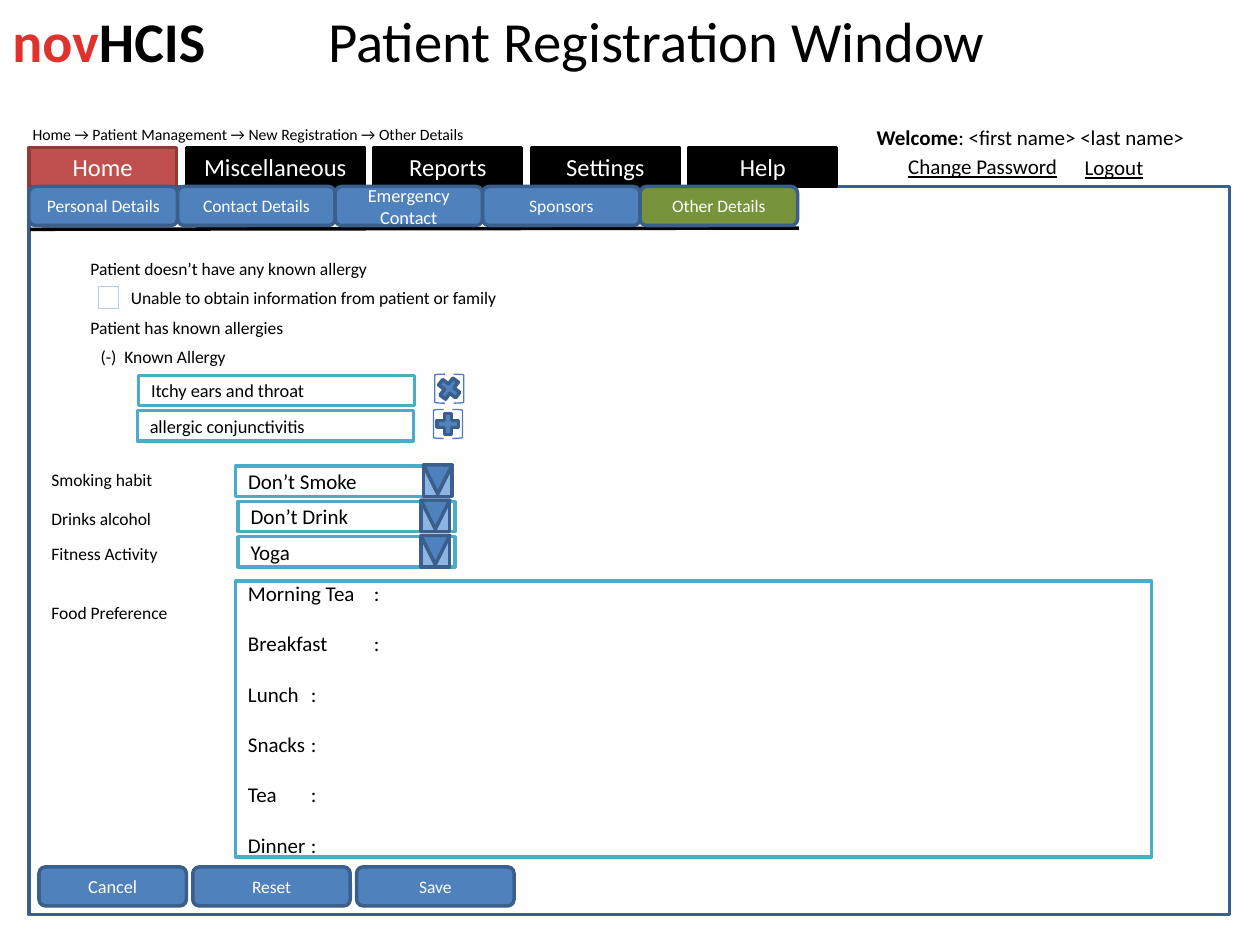
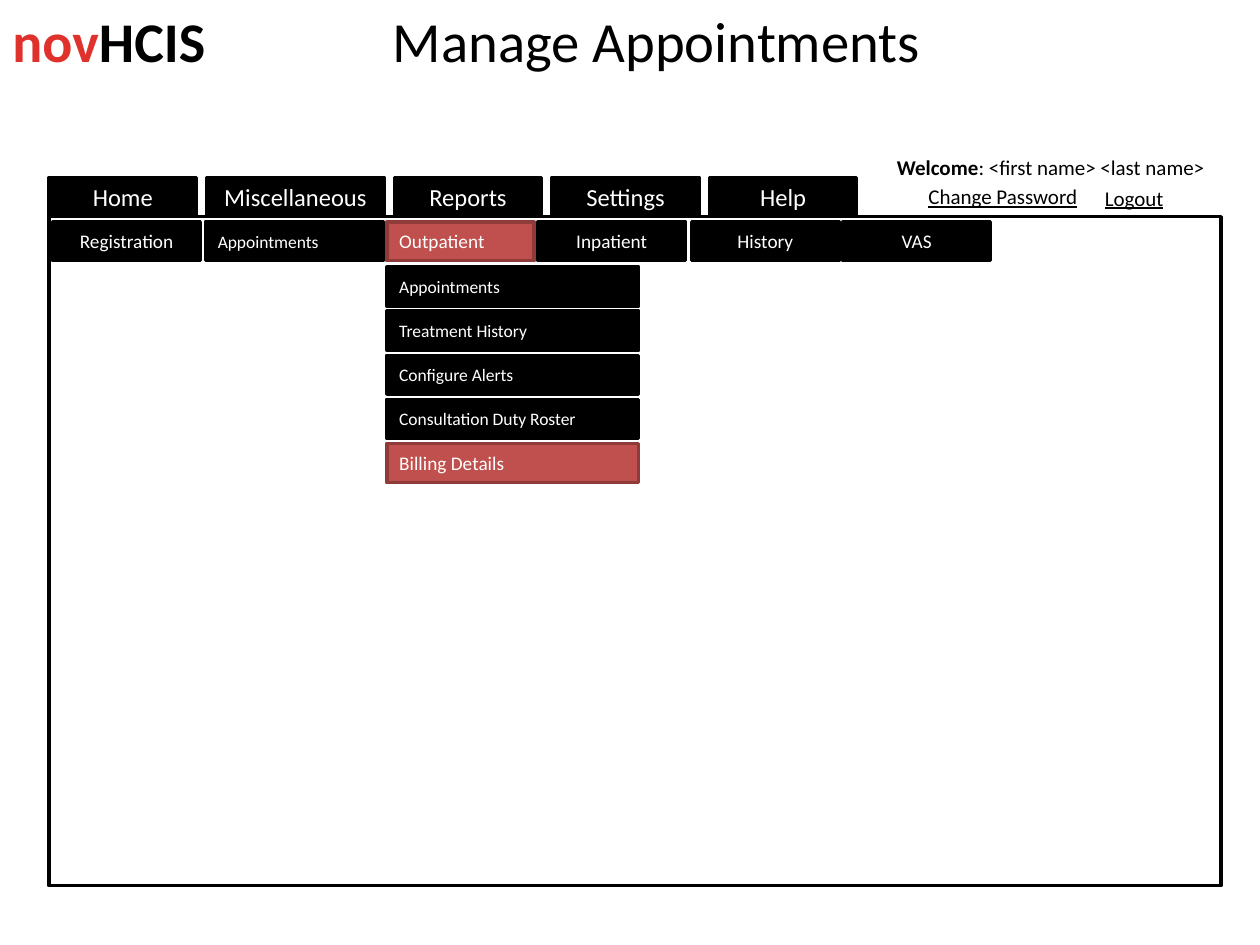
from lxml import etree
from pptx import Presentation
from pptx.dml.color import RGBColor
from pptx.enum.shapes import MSO_CONNECTOR, MSO_SHAPE
from pptx.enum.text import MSO_ANCHOR, MSO_AUTO_SIZE, PP_ALIGN
from pptx.oxml.ns import qn
from pptx.util import Inches, Pt

RECT = MSO_SHAPE.RECTANGLE
ROUNDED = MSO_SHAPE.ROUNDED_RECTANGLE
PLUS = MSO_SHAPE.MATH_PLUS
MERGE = MSO_SHAPE.FLOWCHART_MERGE
LEFT_BRACKET = MSO_SHAPE.LEFT_BRACKET
RIGHT_BRACKET = MSO_SHAPE.RIGHT_BRACKET
STRAIGHT = MSO_CONNECTOR.STRAIGHT
MIDDLE, TOP = MSO_ANCHOR.MIDDLE, MSO_ANCHOR.TOP
LEFT, CENTER = PP_ALIGN.LEFT, PP_ALIGN.CENTER
GROW, FIXED = MSO_AUTO_SIZE.SHAPE_TO_FIT_TEXT, MSO_AUTO_SIZE.NONE

COLORS = {
    "black": "000000", "white": "FFFFFF", "logo red": "E0322D",
    "red": "C0504D", "dark red": "8E3B39", "blue": "4F81BD",
    "dark blue": "3A5F8C", "pale blue": "8EB4E3", "bracket": "4B7EBC",
    "green": "77933C", "teal": "4BACC6", "checkbox": "B9CDE5",
    "panel": "F2F2F2",
}
FONT = "Calibri"
TAB_HEIGHT = 0.31
TAB_WIDTH = 1.17
ICON_SIZE = 0.23
BLACK_TAB = {"fill": "black", "line": "black"}
RED_TAB = {"fill": "red", "line": "dark red"}
BLUE_BUTTON = {"fill": "blue", "line": "dark blue", "kind": ROUNDED}
BLUE_ICON = {"fill": "blue", "line": "dark blue"}
INPUT = {"fill": "white", "line": "teal", "color": "black", "align": LEFT}


def rgb(name):
    return RGBColor.from_string(COLORS[name])


def add_span(para, text, color="black", size=10, **formats):
    span = para.add_run()
    span.text = text
    span.font.color.rgb = rgb(color)
    for name, value in {"name": FONT, "size": Pt(size), **formats}.items():
        setattr(span.font, name, value)
    return span


def add_box(parent, left, top, width, height, text="", kind=RECT, fill=None,
            line="black", weight=2, color="white", size=10, align=CENTER):
    """Add a preset shape, with one line of text if there is any."""
    box = parent.add_shape(kind, Inches(left), Inches(top), Inches(width), Inches(height))
    box.shadow.inherit = False
    if fill:
        box.fill.solid()
        box.fill.fore_color.rgb = rgb(fill)
    else:
        box.fill.background()
    box.line.color.rgb = rgb(line)
    box.line.width = Pt(weight)
    if text:
        box.text_frame.vertical_anchor = MIDDLE
        para = box.text_frame.paragraphs[0]
        para.alignment = align
        add_span(para, text, color, size)
    return box


def add_text(page, left, top, width, height, spans, wrap=True, align=LEFT,
             anchor=TOP, fit=GROW):
    """Add a text box of one paragraph; spans are (text, formats) pairs."""
    box = page.shapes.add_textbox(Inches(left), Inches(top), Inches(width), Inches(height))
    frame = box.text_frame
    for name, value in {"word_wrap": wrap, "vertical_anchor": anchor,
                        "auto_size": fit}.items():
        setattr(frame, name, value)
    para = frame.paragraphs[0]
    para.alignment = align
    for text, formats in spans:
        add_span(para, text, **formats)


def add_label(page, left, top, width, text):
    add_text(page, left, top, width, 0.27, [(text, {})])


def add_row(page, left, top, items, gap, **formats):
    """Lay boxes side by side; items are (text, width, own formats)."""
    for text, width, own in items:
        add_box(page.shapes, left, top, width, TAB_HEIGHT, text, **{**formats, **own})
        left += width + gap


def add_heading(page, title):
    brand = {"size": 32, "bold": True}
    add_text(page, 0, 0, 2.03, 0.64,
             [("nov", {**brand, "color": "logo red"}), ("HCIS", brand)])
    add_text(page, 1.67, 0.08, 7.08, 0.47, [(title, {"size": 32.4})],
             align=CENTER, anchor=MIDDLE, fit=FIXED)


def add_account_links(page, left, top):
    """Place the welcome line and links from the window's top left corner."""
    link = {"size": 12, "underline": True}
    welcome = [("Welcome", {"size": 12, "bold": True}),
               (": <first name> <last name>", {"size": 12})]
    for x, y, width, spans in (
            (6.63, -0.54, 2.67, welcome),
            (6.88, -0.31, 1.4, [("Change Password", link)]),
            (8.28, -0.3, 0.67, [("Logout", link)])):
        add_text(page, left + x, top + y, width, 0.3, spans, wrap=False)


def add_main_tabs(page, left, top, active=None):
    """Place the main tabs on the window's top edge."""
    tabs = [(name, 1.41 if name == "Miscellaneous" else TAB_WIDTH,
             RED_TAB if name == active else BLACK_TAB)
            for name in ("Home", "Miscellaneous", "Reports", "Settings", "Help")]
    add_row(page, left, top - TAB_HEIGHT, tabs, 0.08, size=14)


def add_window(page, title, left, top, width, height, active=None, **formats):
    add_heading(page, title)
    window = add_box(page.shapes, left, top, width, height, **formats)
    add_account_links(page, left, top)
    add_main_tabs(page, left, top, active)
    return window


def add_detail_tabs(page, left, top):
    rule = page.shapes.add_connector(STRAIGHT, Inches(left + 0.01), Inches(top + 0.34),
                                     Inches(left + 6.11), Inches(top + 0.33))
    rule.line.color.rgb = rgb("black")
    rule.line.width = Pt(2)
    etree.SubElement(rule._element.spPr, qn("a:effectLst"))
    tabs = [("Personal Details", 1.18, {}), ("Contact Details", 1.25, {}),
            ("Emergency Contact", TAB_WIDTH, {"size": 10.5}),
            ("Sponsors", 1.25, {}), ("Other Details", 1.25, {"fill": "green"})]
    add_row(page, left, top, tabs, 0, **BLUE_BUTTON)


def add_allergy_row(page, left, top, text, icon_left, icon_top, rotation):
    add_box(page.shapes, left, top, 2.19, 0.24, text, size=10.5, **INPUT)
    icon = add_box(page.shapes, icon_left, icon_top, ICON_SIZE, ICON_SIZE,
                   kind=PLUS, **BLUE_ICON)
    icon.rotation = rotation
    for offset, kind in ((0, LEFT_BRACKET), (0.15, RIGHT_BRACKET)):
        add_box(page.shapes, icon_left + offset, icon_top, 0.08, ICON_SIZE,
                kind=kind, line="bracket", weight=0.75)


def add_allergies(page, left, top):
    add_label(page, left, top, 2.97, "Patient doesn’t have any known allergy")
    add_box(page.shapes, left + 0.16, top + 0.27, 0.16, 0.18, fill="white",
            line="checkbox", weight=0.25)
    add_label(page, left + 0.32, top + 0.23, 3.59,
              "Unable to obtain information from patient or family")
    add_label(page, left, top + 0.47, 2.97, "Patient has known allergies")
    add_label(page, left + 0.08, top + 0.7, 1.56, "(-)  Known Allergy")
    add_allergy_row(page, left + 0.48, top + 0.98, "Itchy ears and throat",
                    left + 2.83, top + 0.97, 37)
    add_allergy_row(page, left + 0.47, top + 1.26, "allergic conjunctivitis",
                    left + 2.82, top + 1.25, 0)


def add_dropdown(page, left, top, text, arrow_left):
    add_box(page.shapes, left, top, 1.72, 0.24, text, size=12, **INPUT)
    arrow = page.shapes.add_group_shape().shapes
    add_box(arrow, arrow_left, top + 0.01, ICON_SIZE, ICON_SIZE,
            fill="pale blue", line="dark blue")
    add_box(arrow, arrow_left, top - 0.01, ICON_SIZE, ICON_SIZE,
            kind=MERGE, **BLUE_ICON)


def add_habits(page, left, top):
    habits = (("Smoking habit", 0, "Don’t Smoke", 1.56, 0.03, 3.05),
              ("Drinks alcohol", 0.31, "Don’t Drink", 1.58, 0.31, 3.03),
              ("Fitness Activity", 0.59, "Yoga", 1.58, 0.59, 3.03))
    for label, label_top, choice, field_left, field_top, arrow_left in habits:
        add_label(page, left, top + label_top, 1.6, label)
        add_dropdown(page, left + field_left, top + field_top, choice, left + arrow_left)


def add_food_preference(page, left, top):
    add_label(page, left, top + 0.12, 1.48, "Food Preference")
    meals = ("Morning Tea", "Breakfast", "Lunch", "Snacks", "Tea", "Dinner")
    box = add_box(page.shapes, left + 1.56, top, 7.27, 2.19, meals[0] + "\t:",
                  size=12, **INPUT)
    for meal in meals[1:]:
        para = box.text_frame.add_paragraph()
        para.alignment = LEFT
        para.space_before = Pt(14.4)
        add_span(para, meal + "\t:", size=12)


def add_registration_slide(deck):
    page = deck.slides.add_slide(deck.slide_layouts[6])
    left, top = 0.23, 1.48
    window = add_window(page, "Patient Registration Window", left, top, 9.53, 5.78,
                        active="Home", fill="panel", line="dark blue")
    color = window._element.spPr.find(qn("a:solidFill"))[0]
    etree.SubElement(color, qn("a:alpha"), val="4000")
    trail = "Home → Patient Management → New Registration → Other Details"
    add_text(page, left - 0.07, top - 0.54, 4.22, 0.25, [(trail, {"size": 9})])
    add_detail_tabs(page, left, top)
    add_allergies(page, left + 0.39, top + 0.52)
    add_habits(page, left + 0.08, top + 2.19)
    add_food_preference(page, left + 0.08, top + 3.13)
    buttons = [("Cancel", TAB_WIDTH, {"size": 10.5}), ("Reset", 1.25, {}), ("Save", 1.25, {})]
    add_row(page, left + 0.08, top + 5.4, buttons, 0.05, **BLUE_BUTTON)


def add_module_menu(page, left, top):
    modules = (("Registration", 0, TAB_WIDTH, {}),
               ("Appointments", 1.21, 1.41, {"align": LEFT, "size": 10}),
               ("Inpatient", 3.85, TAB_WIDTH, {}),
               ("Outpatient", 2.65, TAB_WIDTH, {**RED_TAB, "align": LEFT}),
               ("History", 5.07, TAB_WIDTH, {}),
               ("VAS", 6.27, TAB_WIDTH, {}))
    for name, offset, width, own in modules:
        add_box(page.shapes, left + offset, top, width, TAB_HEIGHT, name,
                **{**BLACK_TAB, "size": 11, **own})


def add_outpatient_menu(page, left, top):
    entries = ("Appointments", "Treatment History", "Configure Alerts",
               "Consultation Duty Roster", "Billing Details")
    for index, entry in enumerate(entries):
        chosen = entry == "Billing Details"
        add_box(page.shapes, left, top + 0.35 * index, 2, TAB_HEIGHT, entry, align=LEFT,
                size=11 if chosen else 10, **(RED_TAB if chosen else BLACK_TAB))


def add_appointments_slide(deck):
    page = deck.slides.add_slide(deck.slide_layouts[6])
    left, top = 0.39, 1.72
    add_window(page, "Manage Appointments", left, top, 9.3, 5.31, fill="white")
    add_module_menu(page, left + 0.03, top + 0.04)
    add_outpatient_menu(page, left + 2.68, top + 0.4)


def main():
    deck = Presentation()
    deck.slide_width, deck.slide_height = Inches(10), Inches(7.5)
    add_registration_slide(deck)
    add_appointments_slide(deck)
    deck.save("out.pptx")


if __name__ == "__main__":
    main()
